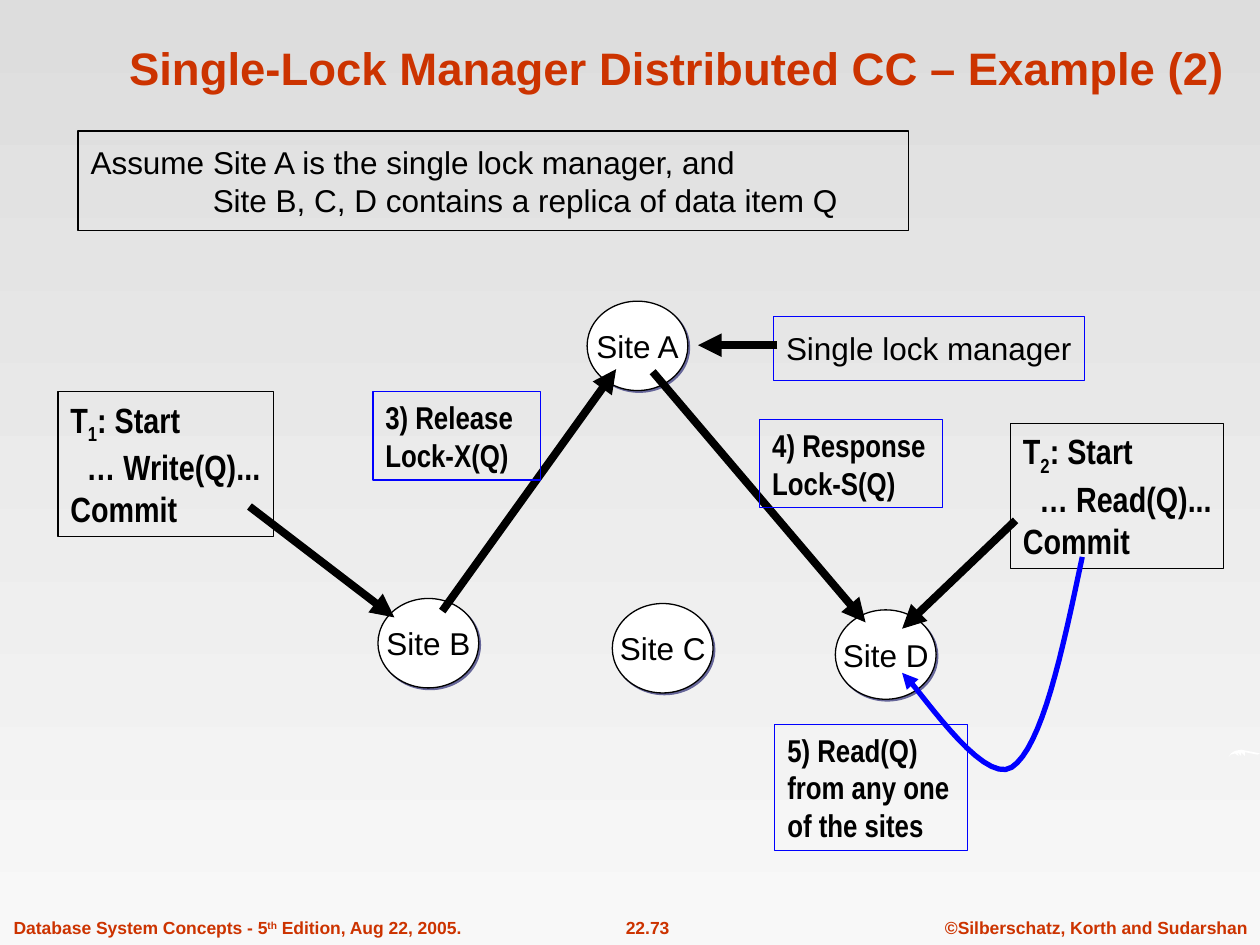
from dataclasses import dataclass

from lxml import etree
from pptx import Presentation
from pptx import util as u
from pptx.dml.color import RGBColor
from pptx.enum import shapes, text
from pptx.oxml import ns


@dataclass(frozen=True)
class Theme:
    black: RGBColor = RGBColor(0, 0, 0)
    white: RGBColor = RGBColor(255, 255, 255)
    blue: RGBColor = RGBColor(0, 0, 255)
    red: RGBColor = RGBColor(0xCC, 0x33, 0)
    back_top: RGBColor = RGBColor(0xDD, 0xDD, 0xDD)
    back_bottom: RGBColor = RGBColor(0xF8, 0xF8, 0xF8)
    shadow: str = "666699"
    font: str = "Arial"
    narrow: str = "Arial Narrow"
    title: int = 26
    transaction: int = 20
    body: int = 18
    footer: int = 10
    outline: float = 0.75
    arrow: float = 4.5
    curve: float = 3


THEME = Theme()
CIRCLE = (0.8, 0.71)


def add_run(para, words, size, color=THEME.black, bold=False, font=THEME.font, baseline=0):
    span = para.add_run()
    span.text = words
    span.font.name = font
    span.font.size = u.Pt(size)
    span.font.bold = bold
    span.font.color.rgb = color
    if baseline:
        span.font._element.set("baseline", str(baseline * 1000))


def next_paragraph(frame, index):
    return frame.paragraphs[0] if index == 0 else frame.add_paragraph()


def indent(para, inches):
    properties = para._p.get_or_add_pPr()
    properties.set("marL", str(u.Inches(inches)))
    properties.set("indent", "0")


def paint_background(page):
    fill = page.background.fill
    fill.gradient()
    fill.gradient_angle = 270
    for stop, color in zip(fill.gradient_stops, (THEME.back_top, THEME.back_bottom)):
        stop.color.rgb = color


def set_title(page, words):
    title = page.shapes.title
    title.left, title.top = u.Inches(0.75), u.Inches(0.13)
    title.width, title.height = u.Inches(9.25), u.Inches(0.67)
    title.text_frame.vertical_anchor = text.MSO_ANCHOR.BOTTOM
    para = title.text_frame.paragraphs[0]
    para.alignment = text.PP_ALIGN.CENTER
    add_run(para, words, THEME.title, THEME.red, True)


def add_footer(page, left, width, runs, align):
    box = page.shapes.add_textbox(u.Inches(left), u.Inches(7.23), u.Inches(width), u.Inches(0.27))
    box.text_frame.word_wrap = False
    para = box.text_frame.paragraphs[0]
    para.alignment = align
    for words, baseline in runs:
        add_run(para, words, THEME.footer, THEME.red, True, baseline=baseline)


def add_plain_shape(page, kind, left, top, width, height, color):
    shape = page.shapes.add_shape(
        kind, u.Inches(left), u.Inches(top), u.Inches(width), u.Inches(height))
    shape.shadow.inherit = False
    shape.fill.background()
    shape.line.color.rgb = color
    shape.line.width = u.Pt(THEME.outline)
    return shape


def add_site(page, name, left, top):
    site = add_plain_shape(
        page, shapes.MSO_SHAPE.FLOWCHART_CONNECTOR, left, top, *CIRCLE, THEME.black)
    site.fill.solid()
    site.fill.fore_color.rgb = THEME.white
    effects = site.element.spPr.find(ns.qn("a:effectLst"))
    shadow = etree.SubElement(effects, ns.qn("a:outerShdw"), dist=str(u.Pt(1.4)),
                              dir="2700000", algn="ctr", rotWithShape="0")
    etree.SubElement(shadow, ns.qn("a:srgbClr"), val=THEME.shadow)
    frame = site.text_frame
    frame.word_wrap = False
    frame.vertical_anchor = text.MSO_ANCHOR.MIDDLE
    para = frame.paragraphs[0]
    para.alignment = text.PP_ALIGN.CENTER
    add_run(para, name, THEME.body)


def add_box(page, left, top, width, height, lines, color, anchor=text.MSO_ANCHOR.MIDDLE,
            size=THEME.body, bold=False, font=THEME.font):
    box = add_plain_shape(
        page, shapes.MSO_SHAPE.RECTANGLE, left, top, width, height, color)
    frame = box.text_frame
    frame.word_wrap = True
    frame.margin_right = 0
    frame.vertical_anchor = anchor
    for index, (margin, runs) in enumerate(lines):
        para = next_paragraph(frame, index)
        indent(para, margin)
        para.alignment = text.PP_ALIGN.LEFT
        for words, baseline in runs:
            add_run(para, words, size, bold=bold, font=font, baseline=baseline)


def add_transaction(page, left, top, width, number, action):
    lines = [(0, [("T", 0), (number, -25), (": Start", 0)]),
             (0.13, [(f"… {action}(Q)...", 0)]),
             (0, [("Commit", 0)])]
    add_box(page, left, top, width, 1.15, lines, THEME.black, text.MSO_ANCHOR.TOP,
            THEME.transaction, True, THEME.narrow)


def add_step(page, left, top, width, height, words):
    add_box(page, left, top, width, height, [(0, [(words, 0)])], THEME.blue,
            text.MSO_ANCHOR.TOP, bold=True, font=THEME.narrow)


def style_arrow(shape, color, width):
    shape.line.color.rgb = color
    shape.line.width = u.Pt(width)
    line = shape.element.spPr.find(ns.qn("a:ln"))
    etree.SubElement(line, ns.qn("a:tailEnd"), type="triangle")


def add_arrow(page, start, end):
    arrow = page.shapes.add_connector(
        shapes.MSO_CONNECTOR.STRAIGHT, *map(u.Inches, start + end))
    style_arrow(arrow, THEME.black, THEME.arrow)
    etree.SubElement(arrow.element.spPr, ns.qn("a:effectLst"))


def add_outline(page, points, close):
    points = [(u.Inches(x), u.Inches(y)) for x, y in points]
    builder = page.shapes.build_freeform(*points[0])
    builder.add_line_segments(points[1:], close=close)
    shape = builder.convert_to_shape()
    shape.shadow.inherit = False
    return shape


def bezier(a, b, c, d, steps=16):
    for step in range(steps + 1):
        t = step / steps
        s = 1 - t
        weights = (s ** 3, 3 * s * s * t, 3 * s * t * t, t ** 3)
        yield tuple(sum(w * p[axis] for w, p in zip(weights, (a, b, c, d))) for axis in (0, 1))


def add_read_curve(page):
    bend = (8.03, 6.09)
    first = list(bezier((8.59, 4.42), (8.43, 5.18), (8.27, 5.93), bend))
    second = list(bezier(bend, (7.79, 6.24), (7.26, 5.41), (7.16, 5.34)))
    curve = add_outline(page, first + second[1:], False)
    curve.fill.background()
    style_arrow(curve, THEME.blue, THEME.curve)


def add_swoosh(page):
    swoosh = add_outline(page, [
        (9.75, 6.01), (9.77, 5.98), (9.8, 5.96), (9.85, 5.95), (9.9, 5.96), (9.95, 5.97),
        (10, 5.98), (9.98, 5.99), (9.93, 5.98), (9.88, 5.97), (9.88, 6), (9.85, 5.97),
        (9.85, 6), (9.82, 5.97), (9.83, 6), (9.8, 5.98), (9.77, 5.99)], True)
    swoosh.fill.solid()
    swoosh.fill.fore_color.rgb = THEME.white
    swoosh.line.fill.background()


def main():
    deck = Presentation()
    deck.slide_width, deck.slide_height = u.Inches(10), u.Inches(7.5)
    page = deck.slides.add_slide(deck.slide_layouts[5])
    paint_background(page)
    set_title(page, "Single-Lock Manager Distributed CC – Example (2)")

    center, left = text.PP_ALIGN.CENTER, text.PP_ALIGN.LEFT
    add_footer(page, 7.4, 2.6, [("©Silberschatz, Korth and Sudarshan", 0)], center)
    add_footer(page, 4.61, 1.06, [("22.73", 0)], center)
    add_footer(page, 0.01, 3.79, [("Database System Concepts - 5", 0), ("th", 30),
                                  (" Edition, Aug 22, 2005.", 0)], left)
    add_swoosh(page)

    for name, x, y in (("Site A", 4.66, 2.39), ("Site B", 3, 4.75),
                       ("Site C", 4.86, 4.79), ("Site D", 6.63, 4.84)):
        add_site(page, name, x, y)

    add_box(page, 0.62, 1.04, 6.59, 0.79,
            [(0, [("Assume Site A is the single lock manager, and", 0)]),
             (0.97, [("Site B, C, D contains a replica of data item Q", 0)])], THEME.black)
    add_box(page, 6.14, 2.51, 2.47, 0.51, [(0, [("Single lock manager", 0)])], THEME.blue)
    add_transaction(page, 0.46, 3.11, 1.71, "1", "Write")
    add_transaction(page, 8.02, 3.36, 1.69, "2", "Read")

    for start, end in (((6.17, 2.74), (5.54, 2.74)), ((1.98, 4.02), (3.13, 4.9)),
                       ((3.51, 4.85), (4.89, 2.93)), ((8.06, 4.13), (7.16, 4.99)),
                       ((5.18, 2.95), (6.87, 4.94))):
        add_arrow(page, start, end)
    add_read_curve(page)

    add_step(page, 2.96, 3.11, 1.33, 0.7, "3) Release Lock-X(Q)")
    add_step(page, 6.03, 3.33, 1.45, 0.7, "4) Response Lock-S(Q)")
    add_step(page, 6.15, 5.75, 1.53, 1, "5) Read(Q) from any one of the sites")
    deck.save("out.pptx")


if __name__ == "__main__":
    main()
